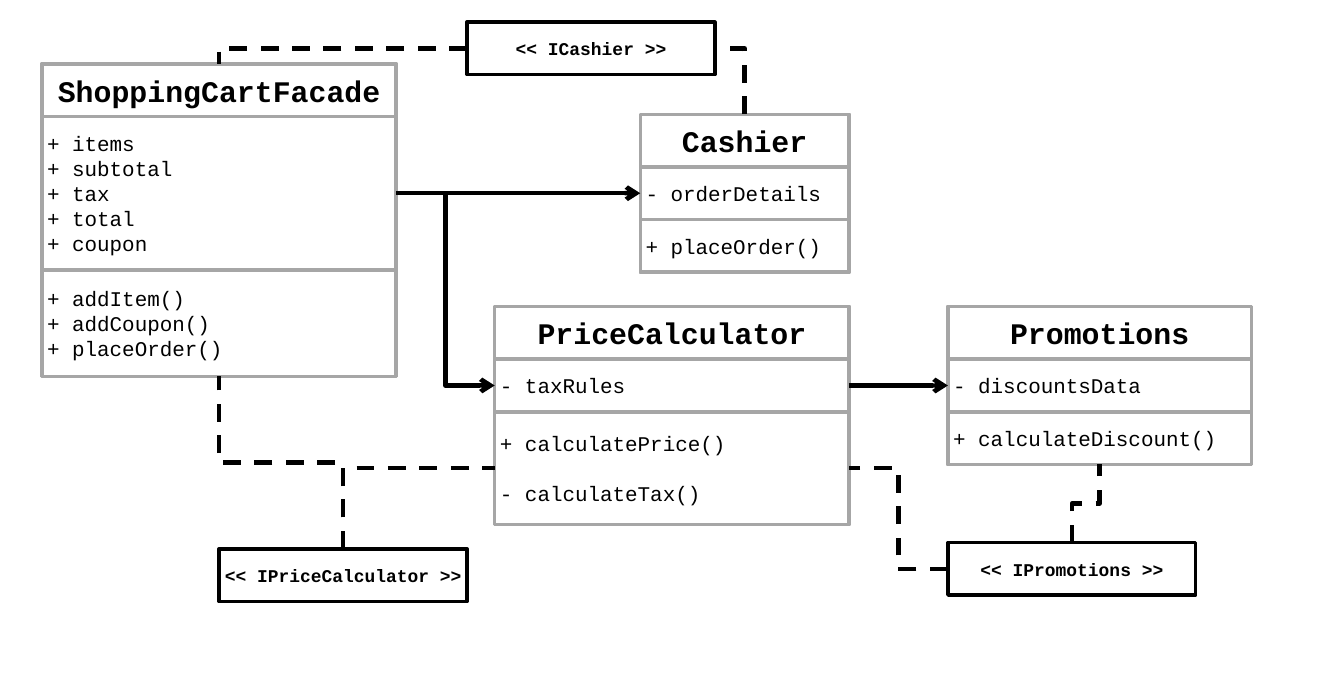
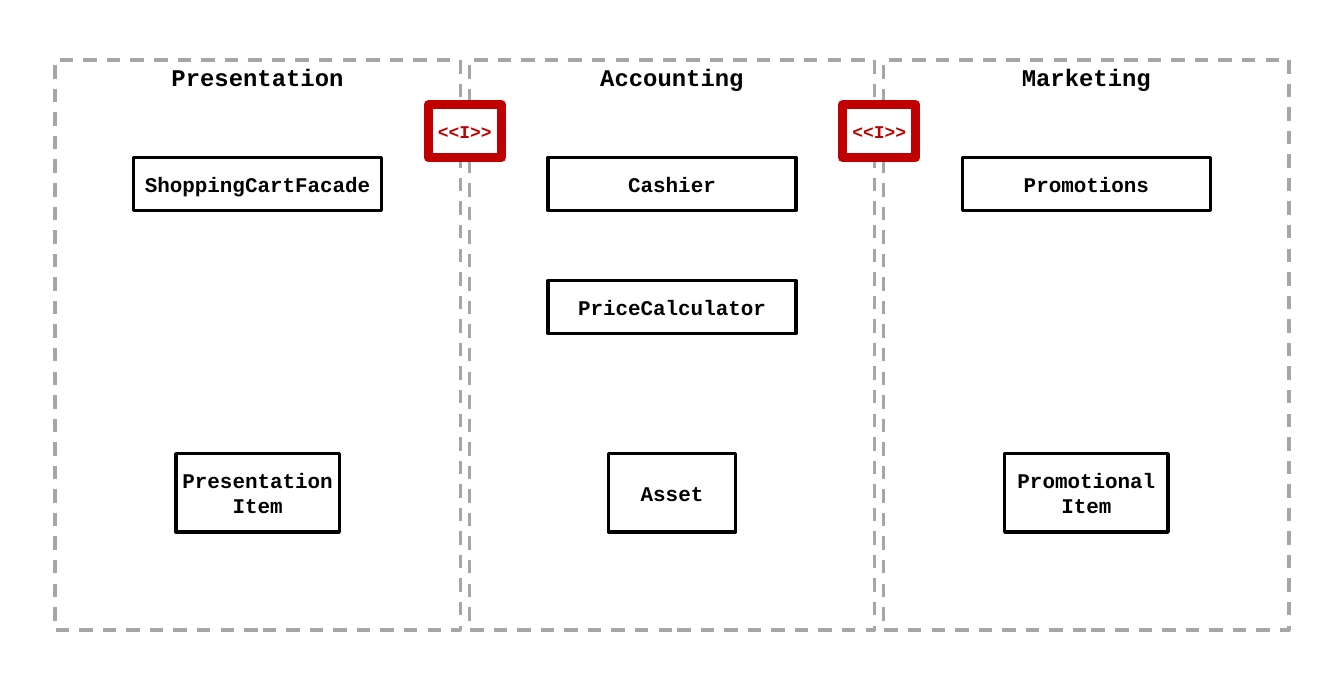
from pptx import Presentation
from pptx.dml.color import RGBColor
from pptx.enum.dml import MSO_LINE
from pptx.enum.shapes import MSO_CONNECTOR, MSO_SHAPE
from pptx.enum.text import MSO_ANCHOR, PP_ALIGN
from pptx.oxml.ns import qn
from pptx.util import Pt
from lxml import etree

RECT = MSO_SHAPE.RECTANGLE
DASH = MSO_LINE.DASH
ELBOW, STRAIGHT = MSO_CONNECTOR.ELBOW, MSO_CONNECTOR.STRAIGHT
LEFT, CENTER = PP_ALIGN.LEFT, PP_ALIGN.CENTER
TOP, MIDDLE = MSO_ANCHOR.TOP, MSO_ANCHOR.MIDDLE
NORTH, WEST, SOUTH, EAST = range(4)  # connection sites of a rectangle

COLORS = {"ink": "000000", "paper": "FFFFFF", "gray": "A6A6A6", "red": "C00000"}
FONT = "Courier New"
ROW = 70.5     # height of a one-line box
LABEL = 332    # width of a label box


def color(name):
    return RGBColor.from_string(COLORS[name])


def box(shapes, x, y, w, h, text="", size=28, bold=True, align=CENTER,
        anchor=MIDDLE, line="ink", width=4.5, ink="ink", gap=0):
    """Filled rectangle with text; gap is the space between paragraphs."""
    rect = shapes.add_shape(RECT, Pt(x), Pt(y), Pt(w), Pt(h))
    rect.shadow.inherit = False
    rect.fill.solid()
    rect.fill.fore_color.rgb = color("paper")
    rect.line.color.rgb = color(line)
    rect.line.width = Pt(width)
    frame = rect.text_frame
    frame.word_wrap = True
    frame.vertical_anchor = anchor
    frame.text = text
    for n, para in enumerate(frame.paragraphs):
        para.alignment = align
        if n and gap:
            para.space_before = Pt(gap)
        for run in para.runs:
            font = run.font
            font.name, font.size, font.bold = FONT, Pt(size), bold
            font.color.rgb = color(ink)
    return rect


# Class diagram parts
def entity(slide, x, y, w, title, fields, calls, heights=(ROW, ROW), gap=0):
    """Class box of three rows; returns its field row, call row and title row."""
    shapes = slide.shapes.add_group_shape().shapes
    box(shapes, x, y, w, ROW + sum(heights), line="gray")
    head = box(shapes, x, y, w, ROW, title, 40, line="gray")
    rows = []
    top = y + ROW
    for text, high in zip((fields, calls), heights):
        rows.append(box(shapes, x, top, w, high, text, bold=False, align=LEFT,
                        line="gray", gap=gap))
        top += high
    return rows[0], rows[1], head


def port(shape, side):
    """Middle of one side of a shape."""
    x = shape.left + {WEST: 0, EAST: shape.width}.get(side, shape.width // 2)
    y = shape.top + {NORTH: 0, SOUTH: shape.height}.get(side, shape.height // 2)
    return x, y


def link(slide, start, out, end, into, arrow=False):
    """Join two sides: solid with an arrowhead, or else dashed."""
    x1, y1 = port(start, out)
    x2, y2 = port(end, into)
    kind = STRAIGHT if y1 == y2 else ELBOW
    line = slide.shapes.add_connector(kind, x1, y1, x2, y2)
    line.begin_connect(start, out)
    line.end_connect(end, into)
    line.line.color.rgb = color("ink")
    line.line.width = Pt(6)
    props = line._element.spPr
    if arrow:
        etree.SubElement(props.find(qn("a:ln")), qn("a:tailEnd"), type="arrow")
    else:
        line.line.dash_style = DASH
    etree.SubElement(props, qn("a:effectLst"))
    if out % 2 != into % 2:  # a single corner
        props.find(qn("a:prstGeom")).set("prst", "bentConnector2")
    if out == NORTH:  # leaves upwards: turn the frame about its centre
        w, h = abs(y2 - y1), abs(x2 - x1)
        line.left, line.top = (x1 + x2 - w) // 2, (y1 + y2 - h) // 2
        line.width, line.height = w, h
        right = x2 > x1
        frame = props.find(qn("a:xfrm"))
        frame.set("rot", str((90 if right else 270) * 60000))
        frame.set("flipH", "1" if right else "0")
        frame.set("flipV", "1")


def classes(slide):
    price = entity(slide, 662.5, 410.5, 474.5, "PriceCalculator", "- taxRules",
                   "+ calculatePrice()\n- calculateTax()", (ROW, 150.5), gap=34)
    promo = entity(slide, 1269.5, 410.5, 406.5, "Promotions",
                   "- discountsData", "+ calculateDiscount()")
    cash = entity(slide, 857.5, 153, 279.5, "Cashier",
                  "- orderDetails", "+ placeOrder()")
    cart = entity(slide, 56, 85.5, 474.5, "ShoppingCartFacade",
                  "+ items\n+ subtotal\n+ tax\n+ total\n+ coupon",
                  "+ addItem()\n+ addCoupon()\n+ placeOrder()", (205.5, 142.5))

    # Uses
    for start, end in ((cart, cash), (cart, price), (price, promo)):
        link(slide, start[0], EAST, end[0], WEST, arrow=True)

    # Interfaces
    icash, iprice, ipromo = [
        box(slide.shapes, x, y, LABEL, ROW, f"<< {name} >>", 24)
        for x, y, name in ((625.5, 29.5, "ICashier"),
                           (293.5, 735, "IPriceCalculator"),
                           (1269.5, 726.5, "IPromotions"))]
    link(slide, cash[2], NORTH, icash, EAST)
    link(slide, iprice, NORTH, cart[1], SOUTH)
    link(slide, iprice, NORTH, price[1], WEST)
    link(slide, icash, WEST, cart[2], NORTH)
    link(slide, ipromo, NORTH, promo[1], SOUTH)
    link(slide, ipromo, WEST, price[1], EAST)


# Module map parts
def zone(slide, x, y, w, h, title, names, item, wide):
    """Dashed area with class labels and one item box, all centred."""
    area = box(slide.shapes, x, y, w, h, title, 32, anchor=TOP, line="gray")
    area.fill.background()
    area.line.dash_style = DASH
    for n, name in enumerate(names):
        box(slide.shapes, x + (w - LABEL) / 2, y + 130.5 + n * 165,
            LABEL, ROW, name)
    box(slide.shapes, x + (w - wide) / 2, y + 527, wide, 105, item)


def modules(slide):
    left, top, w, h, space = 73.5, 80.5, 543, 763, 12
    zones = (
        ("Presentation", ["ShoppingCartFacade"], "Presentation\nItem", 219),
        ("Accounting", ["Cashier", "PriceCalculator"], "Asset", 170.5),
        ("Marketing", ["Promotions"], "Promotional\vItem", 219),
    )
    for n, parts in enumerate(zones):
        zone(slide, left + n * (w + space), top, w, h, *parts)

    # Interfaces on the borders between zones
    gate = 98.5
    for n in range(1, len(zones)):
        mid = left + n * (w + space) - space / 2
        box(slide.shapes, mid - gate / 2, top + 60, gate, ROW, "<<I>>", 24,
            line="red", width=12, ink="red")


def main():
    deck = Presentation()
    deck.slide_width, deck.slide_height = Pt(1800), Pt(924)
    for draw in (classes, modules):
        draw(deck.slides.add_slide(deck.slide_layouts[6]))
    deck.save("out.pptx")


if __name__ == "__main__":
    main()
